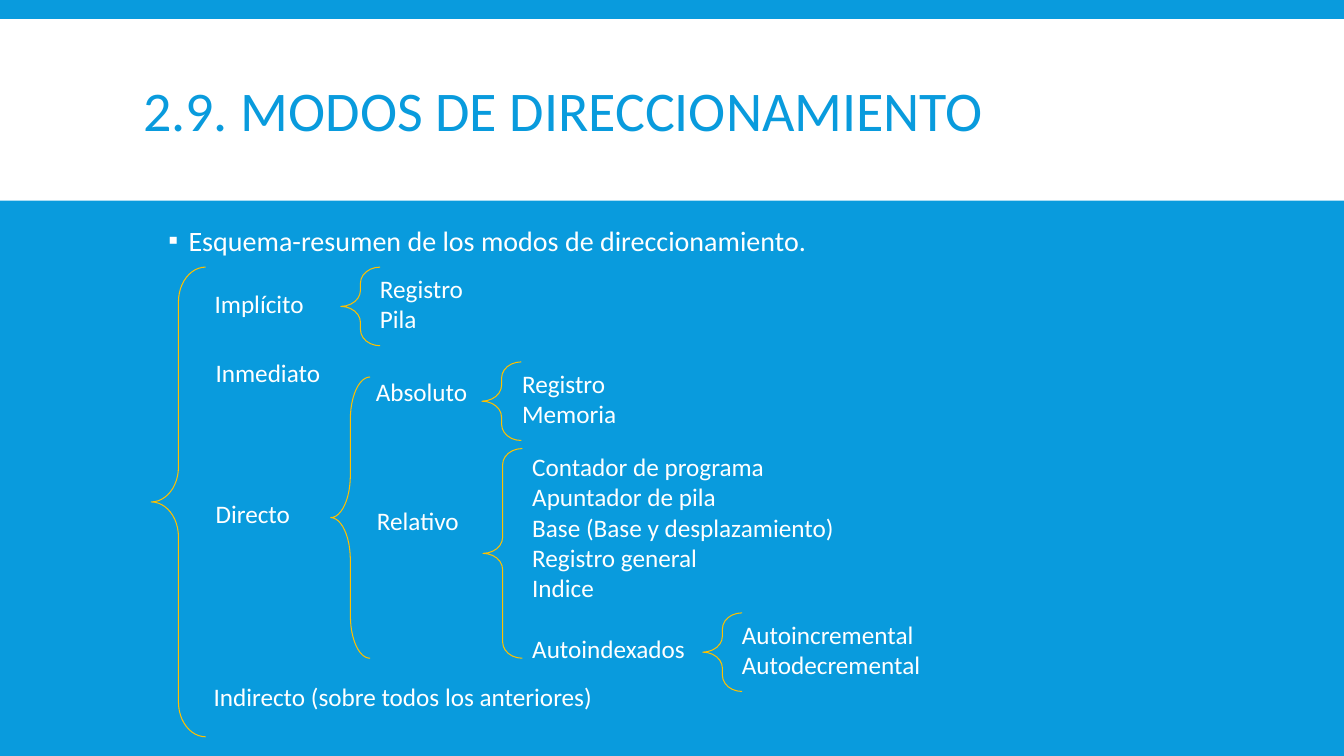
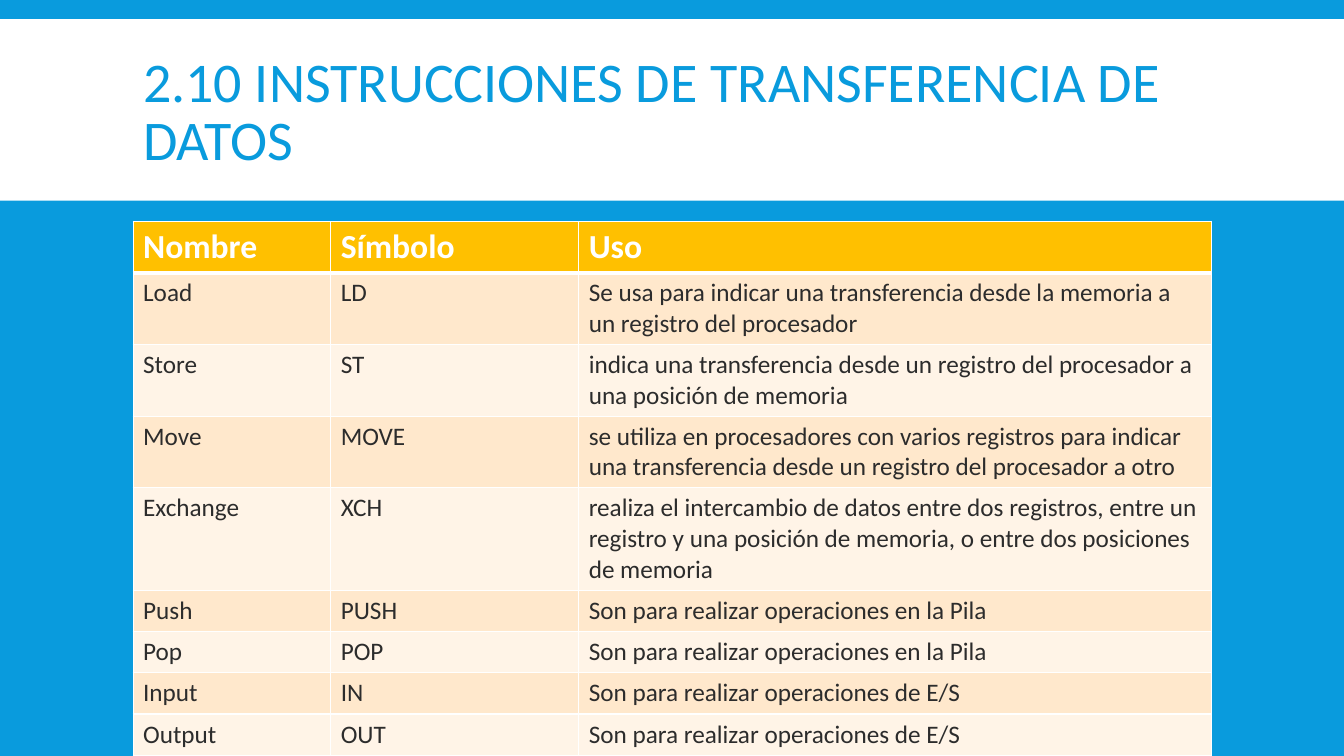
import dataclasses

import lxml.etree
import pptx
import pptx.dml.color
import pptx.enum.shapes
import pptx.enum.text
import pptx.oxml
import pptx.oxml.ns
import pptx.util

PX = 9144  # one px is a hundredth of an inch
WIDE, HIGH = 1333, 750


# Colours and type sizes
@dataclasses.dataclass(frozen=True)
class Theme:
    font: str = "Calibri"
    blue: str = "099BDD"
    white: str = "FFFFFF"
    gold: str = "FFC000"
    ink: str = "2C2C2C"
    bands: tuple = ("FFE8CC", "FFF4E7")
    title: int = 40
    head: int = 24
    list: int = 20
    text: int = 18


def px(*nums):
    return [pptx.util.Emu(n * PX) for n in nums]


def rgb(code):
    return pptx.dml.color.RGBColor.from_string(code)


class Deck:
    def __init__(self, theme):
        self.theme = theme
        self.file = pptx.Presentation()
        self.file.slide_width, self.file.slide_height = px(WIDE, HIGH)
        self.slide = None

    # Text, run by run
    def run(self, para, text, size, color, bold=False):
        run = para.add_run()
        run.text = text
        font = run.font
        font.name, font.size, font.bold = self.theme.font, pptx.util.Pt(size), bold
        font.color.rgb = rgb(color)

    def place(self, shape, *box):
        shape.left, shape.top, shape.width, shape.height = px(*box)
        frame = shape.text_frame
        frame.word_wrap = True
        frame.auto_size = pptx.enum.text.MSO_AUTO_SIZE.NONE
        return frame

    # Slide with blue ground, white band and title
    def page(self, title, layout):
        look = self.theme
        self.slide = self.file.slides.add_slide(self.file.slide_layouts.get_by_name(layout))
        ground = self.slide.background.fill
        ground.solid()
        ground.fore_color.rgb = rgb(look.blue)
        band = self.shape("RECTANGLE", 0, 19, WIDE, 180)
        band.fill.solid()
        band.fill.fore_color.rgb = rgb(look.white)
        band.line.fill.background()
        self.slide.shapes._spTree.insert(2, band._element)
        frame = self.place(self.slide.shapes.title, 132, 31, 1070, 165)
        frame.vertical_anchor = pptx.enum.text.MSO_ANCHOR.MIDDLE
        para = frame.paragraphs[0]
        para.alignment = pptx.enum.text.PP_ALIGN.LEFT
        para.line_spacing = 0.85
        self.run(para, title, look.title, look.blue)

    def shape(self, kind, *box):
        shape = self.slide.shapes.add_shape(
            getattr(pptx.enum.shapes.MSO_SHAPE, kind), *px(*box))
        shape.shadow.inherit = False
        return shape

    # Bullet list in the body placeholder
    def list(self, items, *box):
        look = self.theme
        frame = self.place(self.slide.placeholders[1], *box)
        for i, item in enumerate(items):
            para = frame.add_paragraph() if i else frame.paragraphs[0]
            para.level = 1
            para.line_spacing = 0.9
            para.space_before, para.space_after = pptx.util.Pt(2), pptx.util.Pt(4)
            props = para._p.get_or_add_pPr()
            props.set("marL", str(45 * PX))
            props.set("indent", str(-20 * PX))
            tint = lxml.etree.SubElement(props, pptx.oxml.ns.qn("a:buClr"))
            lxml.etree.SubElement(tint, pptx.oxml.ns.qn("a:srgbClr"), val=look.white)
            lxml.etree.SubElement(props, pptx.oxml.ns.qn("a:buChar"), char="▪")
            self.run(para, item, look.list, look.white)

    # Label with one paragraph a line
    def label(self, x, y, wide, *lines):
        look = self.theme
        box = self.slide.shapes.add_textbox(*px(x, y, wide, 10 + 30 * len(lines)))
        frame = box.text_frame
        frame.word_wrap = False
        frame.auto_size = pptx.enum.text.MSO_AUTO_SIZE.SHAPE_TO_FIT_TEXT
        for i, line in enumerate(lines):
            para = frame.add_paragraph() if i else frame.paragraphs[0]
            self.run(para, line, look.text, look.white)

    def brace(self, x, y, wide, high, curve=0.41):
        brace = self.shape("LEFT_BRACE", x, y, wide, high)
        brace.adjustments[0] = curve
        brace.fill.background()
        brace.line.color.rgb = rgb(self.theme.gold)
        brace.line.width = pptx.util.Pt(0.75)

    # Table with a gold head and banded rows
    def table(self, x, y, cols, high, rows):
        look = self.theme
        grid = self.slide.shapes.add_table(
            len(rows), len(cols), *px(x, y, sum(cols), high * len(rows))).table
        grid.horz_banding = False
        for col, wide in zip(grid.columns, px(*cols)):
            col.width = wide
        for r, row in enumerate(rows):
            head = r == 0
            size, ink = (look.head, look.white) if head else (look.text, look.ink)
            for c, text in enumerate(row):
                cell = grid.cell(r, c)
                cell.fill.solid()
                cell.fill.fore_color.rgb = rgb(look.gold if head else look.bands[(r - 1) % 2])
                self.edge(cell, top=3 if r == 1 else 1, base=3 if head else 1)
                self.run(cell.text_frame.paragraphs[0], text, size, ink, head)

    def edge(self, cell, top, base):
        props = cell._tc.get_or_add_tcPr()
        for i, (side, size) in enumerate(zip("LRTB", (1, 1, top, base))):
            props.insert(i, pptx.oxml.parse_xml(
                f'<a:ln{side} {pptx.oxml.ns.nsdecls("a")} w="{size * 12700}"><a:solidFill>'
                f'<a:srgbClr val="{self.theme.white}"/></a:solidFill></a:ln{side}>'))


def modes(deck):
    deck.page("2.9. MODOS DE DIRECCIONAMIENTO", "Title and Content")
    deck.list(["Esquema-resumen de los modos de direccionamiento."], 132, 220, 1129, 530)

    # Braces, outer to inner
    deck.brace(150, 265, 54, 466, 0.64)
    deck.brace(328, 374, 39, 279, 1.08)
    deck.brace(479, 445, 39, 208)
    for x, y in ((338, 265), (478, 359), (697, 608)):
        deck.brace(x, y, 39, 78)

    # Labels, column by column
    for label in (
        (203, 281, 111, "Implícito"),
        (204, 350, 127, "Inmediato"),
        (204, 489, 97, "Directo"),
        (202, 671, 402, "Indirecto (sobre todos los anteriores)"),
        (367, 266, 107, "Registro", "Pila"),
        (363, 368, 115, "Absoluto"),
        (364, 496, 105, "Relativo"),
        (508, 360, 115, "Registro", "Memoria"),
        (518, 443, 329, "Contador de programa", "Apuntador de pila",
         "Base (Base y desplazamiento)", "Registro general", "Indice"),
        (518, 623, 172, "Autoindexados"),
        (726, 609, 204, "Autoincremental", "Autodecremental"),
    ):
        deck.label(*label)


def moves(deck):
    deck.page("2.10 INSTRUCCIONES DE TRANSFERENCIA DE DATOS", "Title Only")
    stack = "Son para realizar operaciones en la Pila"
    port = "Son para realizar operaciones de E/S"
    deck.table(132, 220, (196, 246, 628), 41, [
        ("Nombre", "Símbolo", "Uso"),
        ("Load", "LD", "Se usa para indicar una transferencia desde la memoria a "
                       "un registro del procesador"),
        ("Store", "ST", "indica una transferencia desde un registro del procesador a "
                        "una posición de memoria"),
        ("Move", "MOVE", "se utiliza en procesadores con varios registros para indicar "
                         "una transferencia desde un registro del procesador a otro"),
        ("Exchange", "XCH", "realiza el intercambio de datos entre dos registros, entre un "
                            "registro y una posición de memoria, o entre dos posiciones "
                            "de memoria"),
        ("Push", "PUSH", stack),
        ("Pop", "POP", stack),
        ("Input", "IN", port),
        ("Output", "OUT", port),
    ])


def main():
    deck = Deck(Theme())
    modes(deck)
    moves(deck)
    deck.file.save("out.pptx")


if __name__ == "__main__":
    main()
